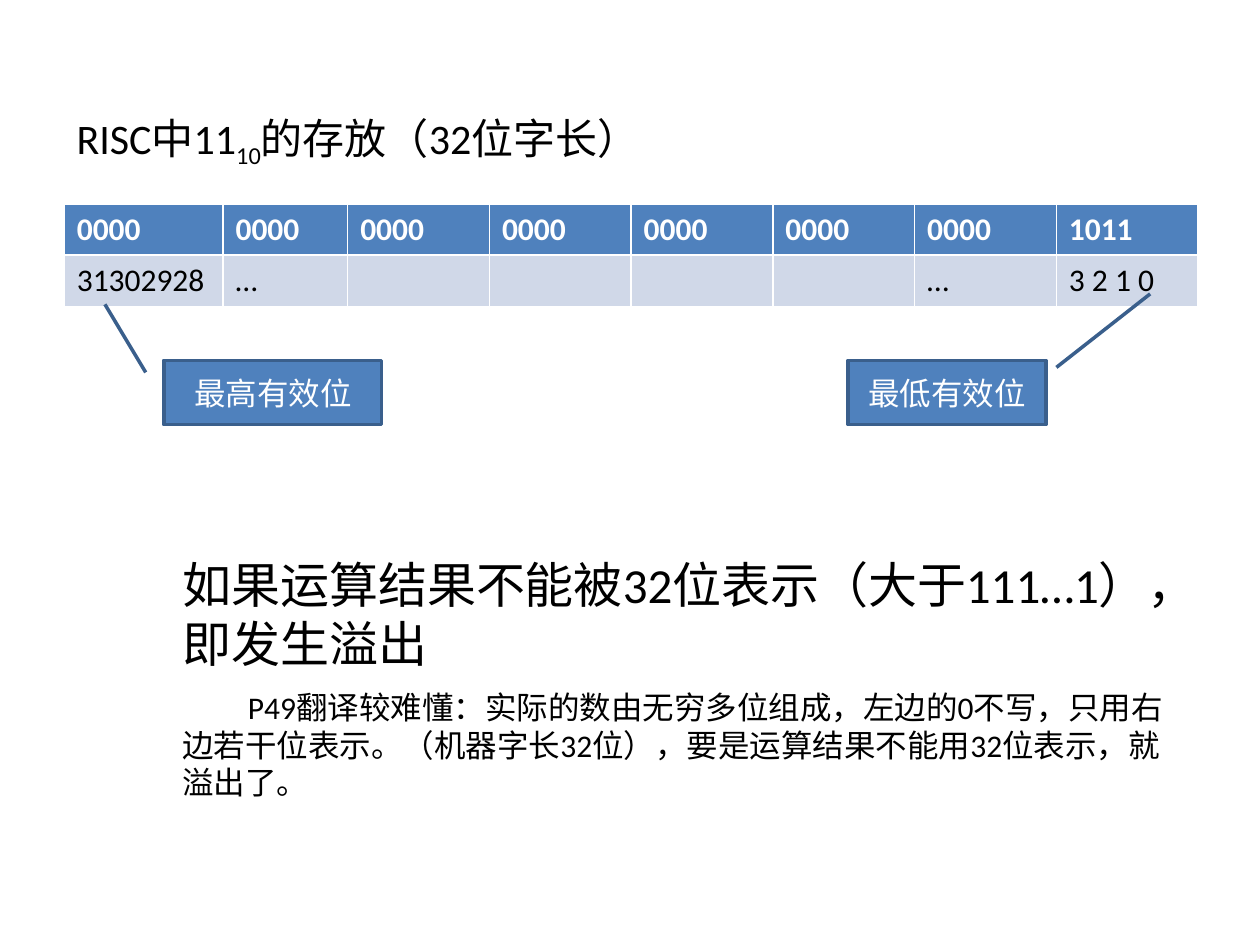
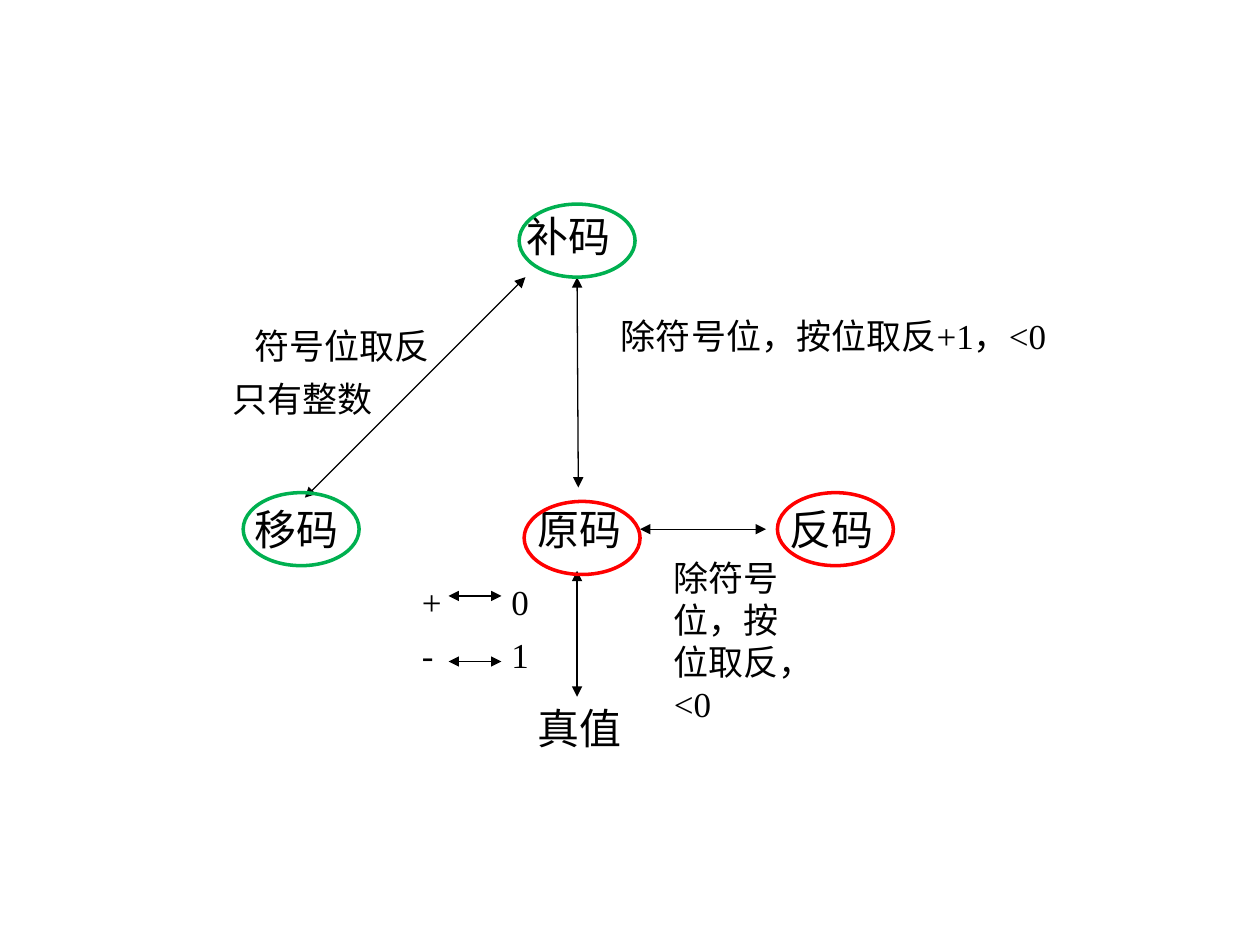
from lxml import etree
from pptx import Presentation
from pptx.dml.color import RGBColor
from pptx.enum.shapes import MSO_CONNECTOR, MSO_SHAPE
from pptx.enum.text import MSO_ANCHOR, PP_ALIGN
from pptx.oxml.ns import qn
from pptx.util import Emu, Inches, Pt

LINE = MSO_CONNECTOR.STRAIGHT
OVAL = MSO_SHAPE.OVAL
CALLOUT = MSO_SHAPE.LINE_CALLOUT_1
MIDDLE = MSO_ANCHOR.MIDDLE
CENTER = PP_ALIGN.CENTER

SANS, SERIF = "Calibri", "Times New Roman"
BLACK, WHITE = "000000", "FFFFFF"
BLUE, PALE, NAVY = "4F81BD", "D0D8E8", "3A5F8C"
RED, GREEN = "FF0000", "00B050"

TITLE = ("RISC中11", "10", "的存放（32位字长）")
BITS = [
    ["0000"] * 7 + ["1011"],
    ["31302928", "…", "", "", "", "", "…", "3 2 1 0"],
]
WIDTHS = [1.26, 0.99] + [1.125] * 6
CALLS = [
    ("最低有效位", 6.73, 1.57, (0.11, 1.054, -1.035, 1.528)),
    ("最高有效位", 1.3, 1.73, (0.188, -0.083, -0.872, -0.27)),
]
RULE = "如果运算结果不能被32位表示（大于111…1），即发生溢出"
NOTE = ("P49翻译较难懂：实际的数由无穷多位组成，左边的0不写，只用右边若干位表示。"
        "（机器字长32位），要是运算结果不能用32位表示，就溢出了。")

CODES = [
    ("原码", 4.17, 3.95),
    ("移码", 1.92, 3.95),
    ("反码", 6.17, 3.95),
    ("补码", 4.08, 1.62),
    ("真值", 4.17, 5.53),
]
STEPS = [
    ("符号位取反", 1.92, 2.53, 2, 0.44),
    ("除符号位，按位取反+1，<0", 4.83, 2.45, 3.75, 0.77),
    ("除符号位，按位取反，<0", 5.25, 4.37, 1.17, 1.44),
    ("只有整数", 1.75, 2.95, 1.33, 0.44),
]
SIGNS = [("+", "0", 0.5), ("-", "1", 0.8)]
RINGS = [(6.17, 3.91, RED), (4.16, 3.98, RED), (1.93, 3.91, GREEN), (4.12, 1.62, GREEN)]
ARROWS = [
    (4.58, 2.2, 4.59, 3.87),
    (2.42, 3.95, 4.17, 2.2),
    (5.08, 4.2, 6.08, 4.2),
    (4.58, 4.53, 4.58, 5.53),
    (3.56, 4.73, 3.98, 4.73),
    (3.56, 5.25, 3.98, 5.25),
]


def rgb(code):
    return RGBColor.from_string(code)


def inches(*nums):
    return [Inches(num) for num in nums]


def style(para, size, face, color=BLACK):
    font = para.font
    font.size, font.name = Pt(size), face
    font.color.rgb = rgb(color)


def write(slide, box, lines, size, face):
    frame = slide.shapes.add_textbox(*inches(*box)).text_frame
    frame.word_wrap = True
    for num, line in enumerate(lines):
        para = frame.add_paragraph() if num else frame.paragraphs[0]
        para.text = line
        style(para, size, face)
    return frame.paragraphs


def shape(slide, kind, box, line, fill=None):
    item = slide.shapes.add_shape(kind, *inches(*box))
    item.shadow.inherit = False
    item.line.color.rgb, item.line.width = rgb(line), Pt(2)
    if fill:
        item.fill.solid()
        item.fill.fore_color.rgb = rgb(fill)
    else:
        item.fill.background()
    return item


def arrow(slide, ends):
    item = slide.shapes.add_connector(LINE, *inches(*ends))
    item.line.color.rgb, item.line.width = rgb(BLACK), Pt(0.75)
    props = item._element.spPr
    for tag in ("a:headEnd", "a:tailEnd"):
        etree.SubElement(props.find(qn("a:ln")), qn(tag)).set("type", "triangle")
    etree.SubElement(props, qn("a:effectLst"))


def word(slide):
    grid = slide.shapes.add_table(2, 8, *inches(0.51, 1.62, 9, 0.81)).table
    for col, width in zip(grid.columns, WIDTHS):
        col.width = Inches(width)
    for row, texts in enumerate(BITS):
        for col, text in enumerate(texts):
            cell = grid.cell(row, col)
            cell.text = text
            cell.fill.solid()
            cell.fill.fore_color.rgb = rgb(PALE if row else BLUE)
            para = cell.text_frame.paragraphs[0]
            style(para, 18, SANS, BLACK if row else WHITE)
            para.font.bold = row == 0

    head = write(slide, (0.51, 0.84, 7.8, 0.51), [""], 24, SANS)[0]
    for text in TITLE:
        head.add_run().text = text
    head.runs[1].font._element.set("baseline", "-25000")

    for text, left, width, tail in CALLS:
        item = shape(slide, CALLOUT, (left, 2.86, width, 0.51), NAVY, BLUE)
        for num, share in enumerate(tail):
            item.adjustments[num] = share
        frame = item.text_frame
        frame.text, frame.vertical_anchor = text, MIDDLE
        para = frame.paragraphs[0]
        para.alignment = CENTER
        style(para, 18, SANS, WHITE)

    note = write(slide, (1.35, 4.35, 8.14, 2.12), [RULE, NOTE], 28, SANS)[1]
    note.font.size, note.space_before = Pt(18), Pt(9)
    note._p.get_or_add_pPr().set("indent", str(Inches(0.52)))


def codes(slide):
    for text, left, top in CODES:
        write(slide, (left, top, 1, 0.5), [text], 24, SERIF)
    for text, *box in STEPS:
        write(slide, box, [text], 20, SERIF)

    paras = write(slide, (3.25, 4.7, 1.17, 0.72), [""] * len(SIGNS), 20, SERIF)
    for num, (para, (sign, bit, space)) in enumerate(zip(paras, SIGNS)):
        para.text = f"{sign}\t{bit}"
        para.line_spacing = space
        if num:
            para.space_before = Pt(12.5)
        props = para._p.get_or_add_pPr()
        tabs = etree.Element(qn("a:tabLst"))
        etree.SubElement(tabs, qn("a:tab"), pos=str(Emu(Inches(0.71))), algn="l")
        props.find(qn("a:defRPr")).addprevious(tabs)

    for ends in ARROWS:
        arrow(slide, ends)
    for left, top, color in RINGS:
        shape(slide, OVAL, (left, top, 0.92, 0.58), color)


def main():
    deck = Presentation()
    deck.slide_width, deck.slide_height = inches(10, 7.5)
    for build in (word, codes):
        build(deck.slides.add_slide(deck.slide_layouts[6]))
    deck.save("out.pptx")


if __name__ == "__main__":
    main()
